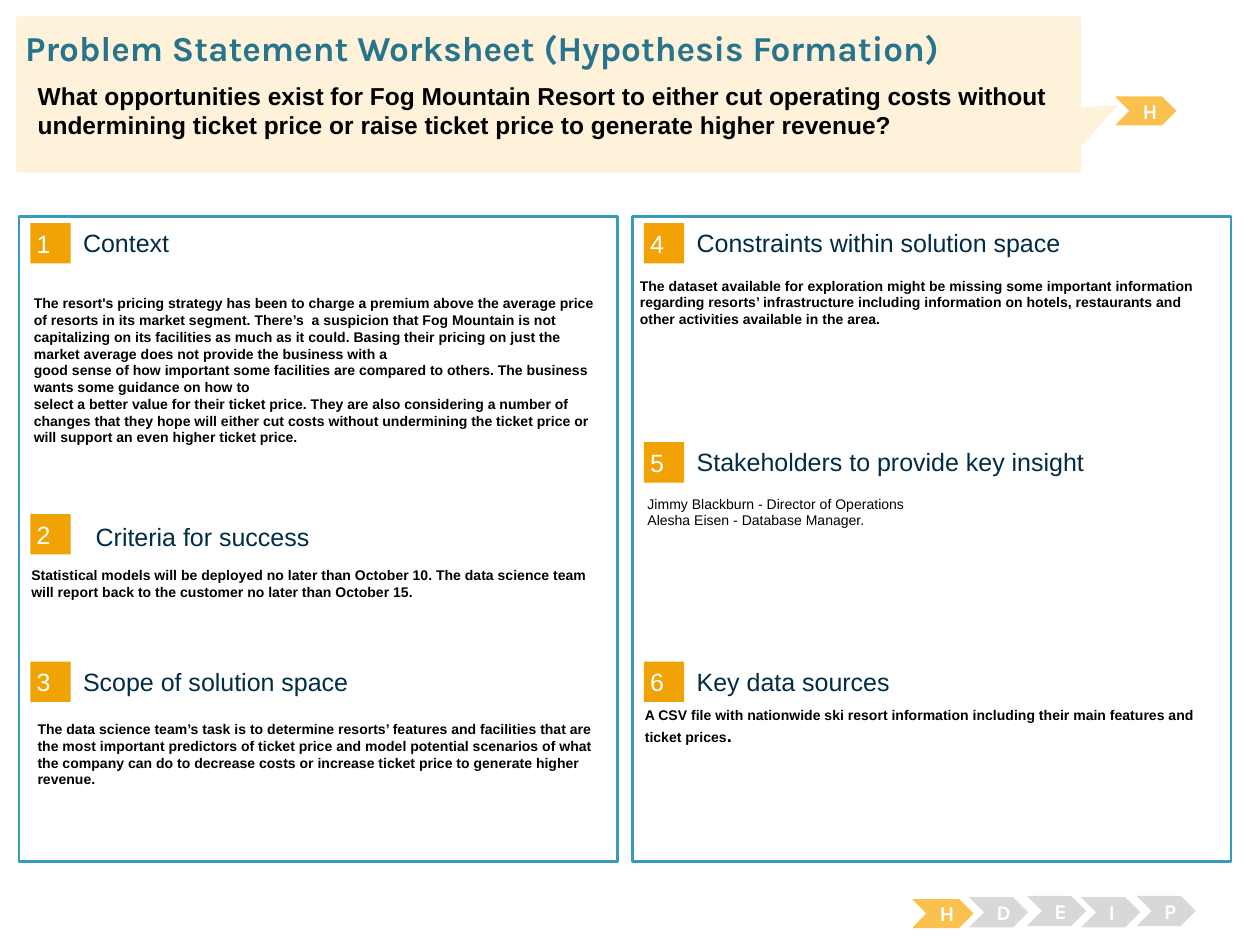
from pptx import Presentation
from pptx.dml.color import RGBColor
from pptx.enum.shapes import MSO_SHAPE
from pptx.enum.text import MSO_ANCHOR, MSO_AUTO_SIZE, PP_ALIGN
from pptx.util import Inches, Pt

WHITE, BLACK, NAVY, TEAL = "FFFFFF", "000000", "002C46", "29748D"
FRAME, ORANGE, AMBER, GREY, CREAM = "379BBD", "F1A205", "FBC14E", "D8D8D8", "FEF2DA"
INSETS = (0.1, 0.05, 0.1, 0.05)
NO_INSETS = (0, 0, 0, 0)


def color(value):
    """Turn a hex string into a colour."""
    return RGBColor.from_string(value)


class Worksheet:
    """Hold the text style and the current slide."""

    font = "Arial"
    accent_font = "Karla"
    heading_size = 14.3
    body_size = 8

    def __init__(self, slide):
        self.slide = slide

    def fill_text(self, shape, paragraphs, hue, bold=False, font=None, insets=INSETS,
                  anchor=MSO_ANCHOR.TOP, align=PP_ALIGN.LEFT):
        """Fill a shape with paragraphs, each a list of (text, size) runs."""
        frame = shape.text_frame
        frame.word_wrap = True
        frame.auto_size = MSO_AUTO_SIZE.NONE
        frame.vertical_anchor = anchor
        (frame.margin_left, frame.margin_top,
         frame.margin_right, frame.margin_bottom) = map(Inches, insets)
        for index, runs in enumerate(paragraphs):
            paragraph = frame.add_paragraph() if index else frame.paragraphs[0]
            paragraph.alignment = align
            for text, size in runs:
                run = paragraph.add_run()
                run.text = text
                run.font.name = font or self.font
                run.font.size = Pt(size)
                run.font.bold = bold
                run.font.color.rgb = color(hue)

    def title(self, box, text):
        """Place the title placeholder in front of the shapes drawn so far."""
        title = self.slide.shapes.title
        title.left, title.top, title.width, title.height = map(Inches, box)
        title.element.getparent().append(title.element)
        self.fill_text(title, [[(text, 20)]], TEAL, True, self.accent_font, NO_INSETS)

    def text(self, box, paragraphs, hue=BLACK, **style):
        """Add a text box."""
        shape = self.slide.shapes.add_textbox(*map(Inches, box))
        self.fill_text(shape, paragraphs, hue, **style)

    def shape(self, kind, box, fill, line=None, width=0.75):
        """Add a flat preset shape."""
        shape = self.slide.shapes.add_shape(kind, *map(Inches, box))
        shape.shadow.inherit = False
        shape.fill.solid()
        shape.fill.fore_color.rgb = color(fill)
        if line:
            shape.line.color.rgb = color(line)
            shape.line.width = Pt(width)
        else:
            shape.line.fill.background()
        return shape

    def section(self, number, heading, left, top, indent=0.42, drop=0.03):
        """Add a numbered badge and its heading."""
        badge = self.shape(MSO_SHAPE.RECTANGLE, (left, top, 0.32, 0.32), ORANGE)
        self.fill_text(badge, [[(str(number), self.heading_size)]], WHITE,
                       insets=(0.05,) * 4, anchor=MSO_ANCHOR.MIDDLE)
        self.text((left + indent, top + drop, 3.93, 0.25), [[(heading, self.heading_size)]],
                  NAVY, insets=NO_INSETS, anchor=MSO_ANCHOR.MIDDLE)

    def body(self, left, top, height, *texts, bold=True, insets=INSETS, ending=()):
        """Add body paragraphs, with optional closing runs."""
        paragraphs = [[(text, self.body_size)] for text in texts]
        paragraphs[-1].extend(ending)
        self.text((left, top, 4.73, height), paragraphs, bold=bold, insets=insets)

    def step(self, letter, left, top, height, active=False):
        """Add a lettered chevron."""
        fill = AMBER if active else GREY
        chevron = self.shape(MSO_SHAPE.CHEVRON, (left, top, 0.47, height), fill,
                             AMBER if active else None)
        self.fill_text(chevron, [[(letter, 12)]], WHITE, True, self.accent_font,
                       anchor=MSO_ANCHOR.MIDDLE, align=PP_ALIGN.CENTER)


presentation = Presentation()
presentation.slide_width, presentation.slide_height = Inches(10), Inches(7.5)
sheet = Worksheet(presentation.slides.add_slide(presentation.slide_layouts[5]))

for left in (0.15, 5.02):
    sheet.shape(MSO_SHAPE.RECTANGLE, (left, 1.72, 4.75, 5.12), WHITE, FRAME, 1.5)

sheet.section(1, "Context", 0.24, 1.77)
sheet.section(2, "Criteria for success", 0.24, 4.08, indent=0.52, drop=0.05)
sheet.section(3, "Scope of solution space", 0.24, 5.25)
sheet.section(4, "Constraints within solution space", 5.11, 1.77)
sheet.section(5, "Stakeholders to provide key insight", 5.11, 3.51)
sheet.section(6, "Key data sources", 5.11, 5.25)

sheet.body(
    0.17, 2.02, 2.2,
    "The resort's pricing strategy has been to charge a premium above the average price of "
    "resorts in its market segment. There’s  a suspicion that Fog Mountain is not capitalizing "
    "on its facilities as much as it could. Basing their pricing on just the market average "
    "does not provide the business with a",
    "good sense of how important some facilities are compared to others. The business wants "
    "some guidance on how to",
    "select a better value for their ticket price. They are also considering a number of",
    "changes that they hope will either cut costs without undermining the ticket price or will "
    "support an even higher ticket price.",
    insets=(0.1, 0.32, 0.1, 0.05))
sheet.body(
    0.15, 4.45, 1.54,
    "Statistical models will be deployed no later than October 10. The data science team will "
    "report back to the customer no later than October 15.")
sheet.body(
    0.2, 5.67, 1.03,
    "The data science team’s task is to determine resorts’ features and facilities that are the "
    "most important predictors of ticket price and model potential scenarios of what the company "
    "can do to decrease costs or increase ticket price to generate higher revenue.")
sheet.body(
    4.98, 2.15, 1.18,
    "The dataset available for exploration might be missing some important information regarding "
    "resorts’ infrastructure including information on hotels, restaurants and other activities "
    "available in the area.")
sheet.body(5.04, 3.88, 1.18, "Jimmy Blackburn - Director of Operations",
           "Alesha Eisen - Database Manager.", bold=False)
sheet.body(
    5.02, 5.56, 1.18,
    "A CSV file with nationwide ski resort information including their main features and ticket "
    "prices", ending=[(".", 10.7)])

sheet.step("H", 7.25, 7.14, 0.22, active=True)
for letter, left, top in (("D", 7.69, 7.12), ("E", 8.15, 7.11), ("I", 8.58, 7.12), ("P", 9.02, 7.11)):
    sheet.step(letter, left, top, 0.24)
sheet.step("H", 8.86, 0.77, 0.22, active=True)

callout = sheet.shape(MSO_SHAPE.RECTANGULAR_CALLOUT, (0.13, 0.13, 8.45, 1.24), CREAM)
callout.adjustments[0], callout.adjustments[1] = 0.535, 0.066
sheet.title((0.2, 0.21, 9.62, 0.34), "Problem Statement Worksheet (Hypothesis Formation)")
sheet.text(
    (0.2, 0.59, 9.39, 0.54),
    [[("What opportunities exist for Fog Mountain Resort to either cut operating costs without", 14)],
     [("undermining ticket price or raise ticket price to generate higher revenue?", 14)]],
    bold=True)

presentation.save("out.pptx")
